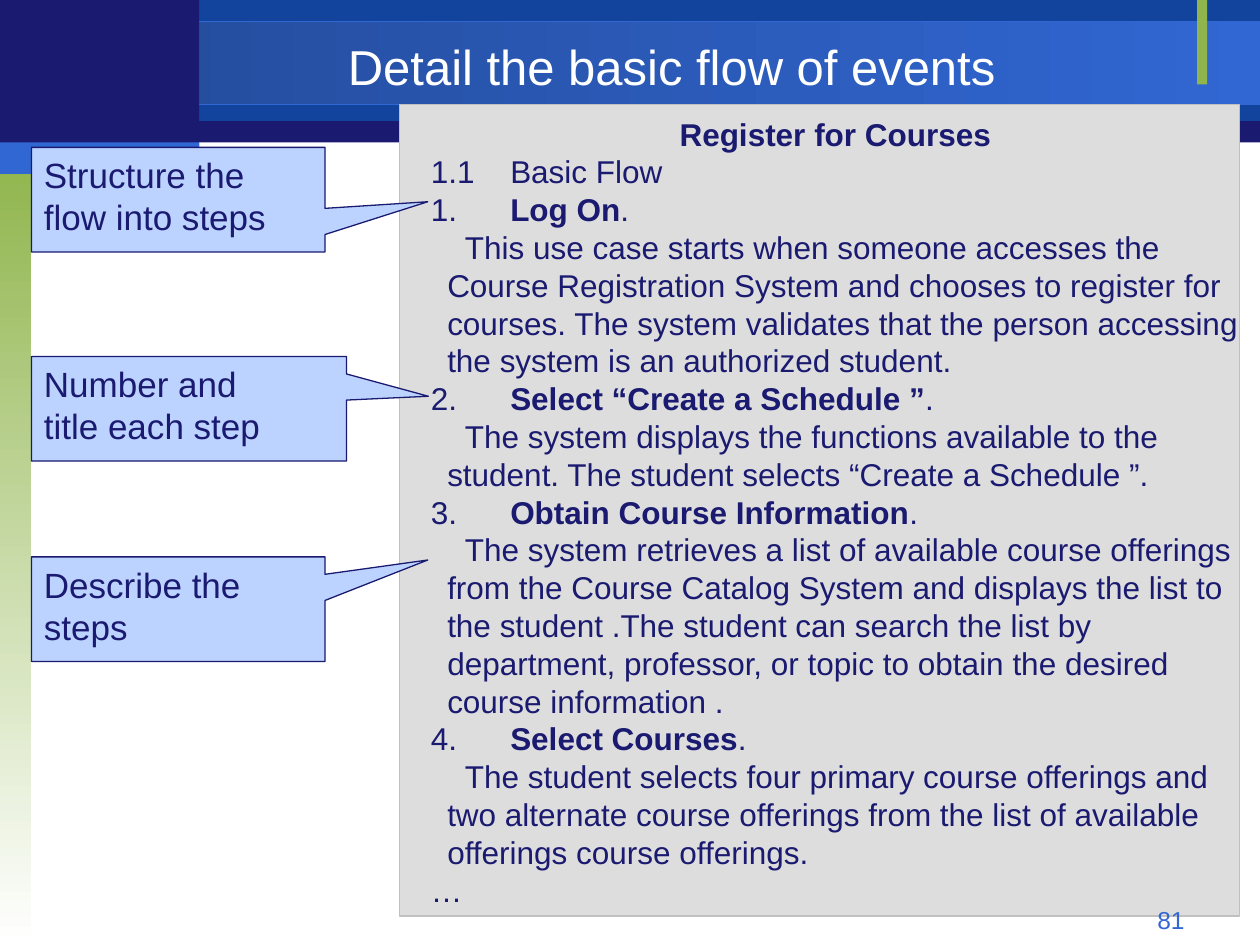
from pptx import Presentation
from pptx.dml.color import RGBColor
from pptx.enum.shapes import MSO_SHAPE
from pptx.enum.text import MSO_ANCHOR, PP_ALIGN
from pptx.util import Pt

PX = 9144  # EMU per px, at 100 px to the inch

NAVY = RGBColor(0x1A, 0x1A, 0x70)
ROYAL = RGBColor(0x12, 0x44, 0x9E)
DEEP_BLUE = RGBColor(0x23, 0x4A, 0x97)
BRIGHT_BLUE = RGBColor(0x31, 0x67, 0xD3)
PALE_BLUE = RGBColor(0xBD, 0xD3, 0xFF)
GREEN = RGBColor(0x90, 0xB5, 0x4D)
LIGHT_GRAY = RGBColor(0xDD, 0xDD, 0xDD)
SILVER = RGBColor(0xC0, 0xC0, 0xC0)
WHITE = RGBColor(0xFF, 0xFF, 0xFF)

# Position, fill (a list is a gradient: start, end, angle), line
BANDS = [
    ((0, 1, 1000, 112), NAVY, None),
    ((158, 0, 842, 96), ROYAL, None),
    ((0, 17, 1000, 66), [DEEP_BLUE, BRIGHT_BLUE, 0], BRIGHT_BLUE),
    ((0, 125, 25, 625), [GREEN, WHITE, 270], None),
    ((950, 0, 8, 67), GREEN, None),
    ((0, 0, 158, 117), NAVY, None),
    ((0, 113, 158, 25), BRIGHT_BLUE, None),
]

TITLE = "Detail the basic flow of events"
PAGE_NUMBER = "81"
USE_CASE = "Register for Courses"
SECTION = "1.1\tBasic Flow"
STEPS = [
    ("Log On",
     "This use case starts when someone accesses the Course Registration System "
     "and chooses to register for courses. The system validates that the person "
     "accessing the system is an authorized student."),
    ("Select “Create a Schedule ”",
     "The system displays the functions available to the student. "
     "The student selects “Create a Schedule ”."),
    ("Obtain Course Information",
     "The system retrieves a list of available course offerings from the Course "
     "Catalog System and displays the list to the student .The student can search "
     "the list by department, professor, or topic to obtain the desired course "
     "information ."),
    ("Select Courses",
     "The student selects four primary course offerings and two alternate course "
     "offerings from the list of available offerings course offerings."),
]
MORE = "…"

# Position, pointer tip relative to the centre, paragraphs
CALLOUTS = [
    ((25, 117, 233, 83), (0.85, 0.02), ["Structure the flow into steps"]),
    ((25, 283, 250, 83), (0.76, -0.12), ["Number and", "title each step"]),
    ((25, 442, 233, 83), (0.85, -0.47), ["Describe the steps"]),
]

PANEL = (317, 83, 667, 644)
LEFT_MARGIN, HANGING, FIRST_LINE = 38, -13, 14
LINE_HEIGHT = 1.2


def emu(lengths):
    return [length * PX for length in lengths]


def add_box(page, kind, place, fill, line=None):
    box = page.shapes.add_shape(kind, *emu(place))
    box.shadow.inherit = False
    if isinstance(fill, list):
        start, end, angle = fill
        box.fill.gradient()
        box.fill.gradient_angle = angle
        for stop, color in zip(box.fill.gradient_stops, (start, end)):
            stop.color.rgb = color
    else:
        box.fill.solid()
        box.fill.fore_color.rgb = fill
    if line is None:
        box.line.fill.background()
    else:
        box.line.color.rgb = line
        box.line.width = Pt(0.75)
    return box


def write(box, paragraphs, size, color, align=PP_ALIGN.LEFT, anchor=MSO_ANCHOR.TOP):
    """Fill the box with paragraphs, each a list of (text, bold) spans."""
    frame = box.text_frame
    frame.word_wrap = True
    frame.vertical_anchor = anchor
    for index, spans in enumerate(paragraphs):
        paragraph = frame.add_paragraph() if index else frame.paragraphs[0]
        paragraph.alignment = align
        paragraph.line_spacing = Pt(size * LINE_HEIGHT)
        for text, bold in spans:
            span = paragraph.add_run()
            span.text = text
            span.font.name = "Arial"
            span.font.size = Pt(size)
            span.font.bold = bold
            span.font.color.rgb = color
    return frame


def add_label(page, place, text, size, color, align, anchor=MSO_ANCHOR.TOP):
    box = page.shapes.add_textbox(*emu(place))
    write(box, [[(text, False)]], size, color, align, anchor)


def add_flow_panel(page):
    rows = [([(USE_CASE, True)], HANGING), ([(SECTION, False)], HANGING)]
    for number, (name, description) in enumerate(STEPS, start=1):
        rows.append(([(f"{number}.\t", False), (name, True), (".", False)], HANGING))
        rows.append(([(description, False)], FIRST_LINE))
    rows.append(([(MORE, False)], HANGING))

    panel = add_box(page, MSO_SHAPE.RECTANGLE, PANEL, LIGHT_GRAY, SILVER)
    frame = write(panel, [spans for spans, _ in rows], 18, NAVY)
    frame.margin_left = frame.margin_right = 0
    frame.margin_top, frame.margin_bottom = emu((8, 4))
    for paragraph, (_, indent) in zip(frame.paragraphs, rows):
        properties = paragraph._p.get_or_add_pPr()
        properties.set("marL", str(LEFT_MARGIN * PX))
        properties.set("indent", str(indent * PX))
    frame.paragraphs[0].alignment = PP_ALIGN.CENTER


def main():
    deck = Presentation()
    deck.slide_width, deck.slide_height = emu((1000, 750))
    page = deck.slides.add_slide(deck.slide_layouts[6])

    for place, fill, line in BANDS:
        add_box(page, MSO_SHAPE.RECTANGLE, place, fill, line)
    add_label(page, (158, 23, 750, 58), TITLE, 28, WHITE,
              PP_ALIGN.CENTER, MSO_ANCHOR.MIDDLE)
    add_flow_panel(page)
    for place, tip, lines in CALLOUTS:
        callout = add_box(page, MSO_SHAPE.RECTANGULAR_CALLOUT, place, PALE_BLUE, NAVY)
        callout.adjustments[0], callout.adjustments[1] = tip
        write(callout, [[(line, False)] for line in lines], 20, NAVY)
    add_label(page, (717, 713, 233, 27), PAGE_NUMBER, 14, BRIGHT_BLUE, PP_ALIGN.RIGHT)

    deck.save("out.pptx")


if __name__ == "__main__":
    main()
